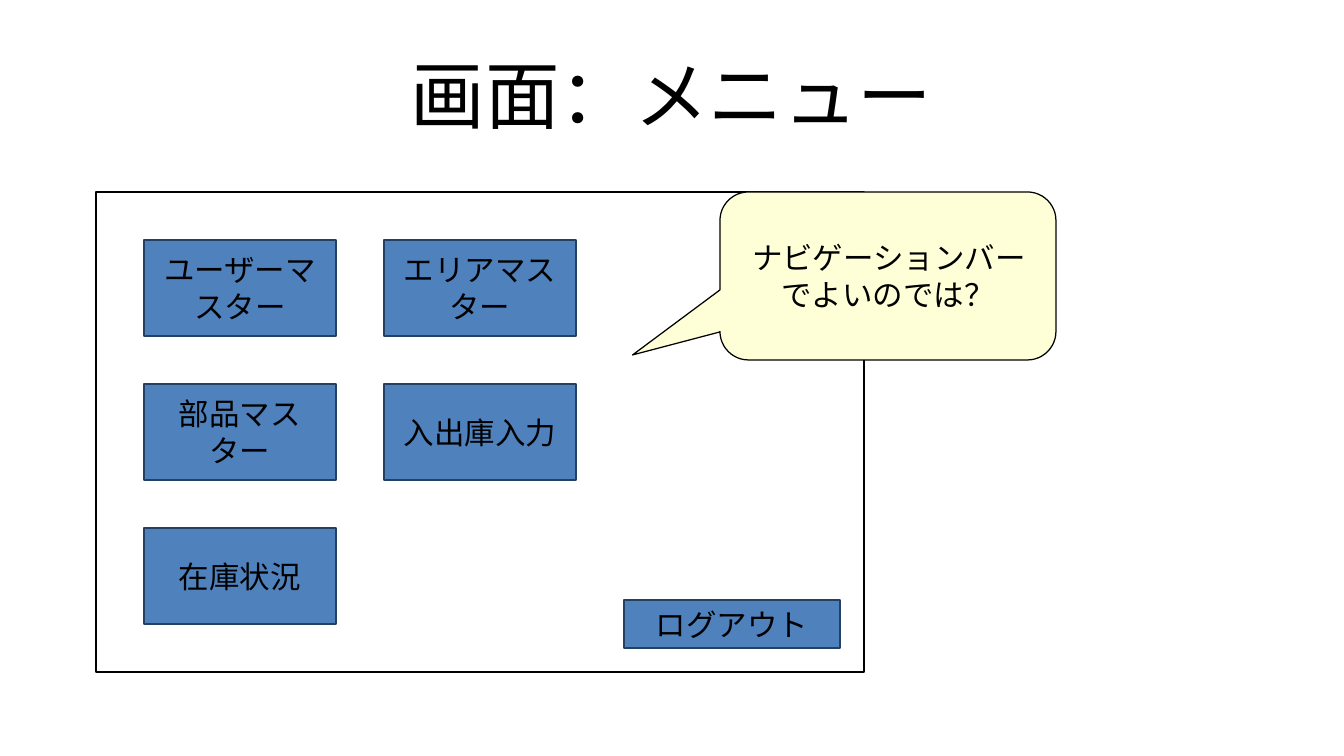
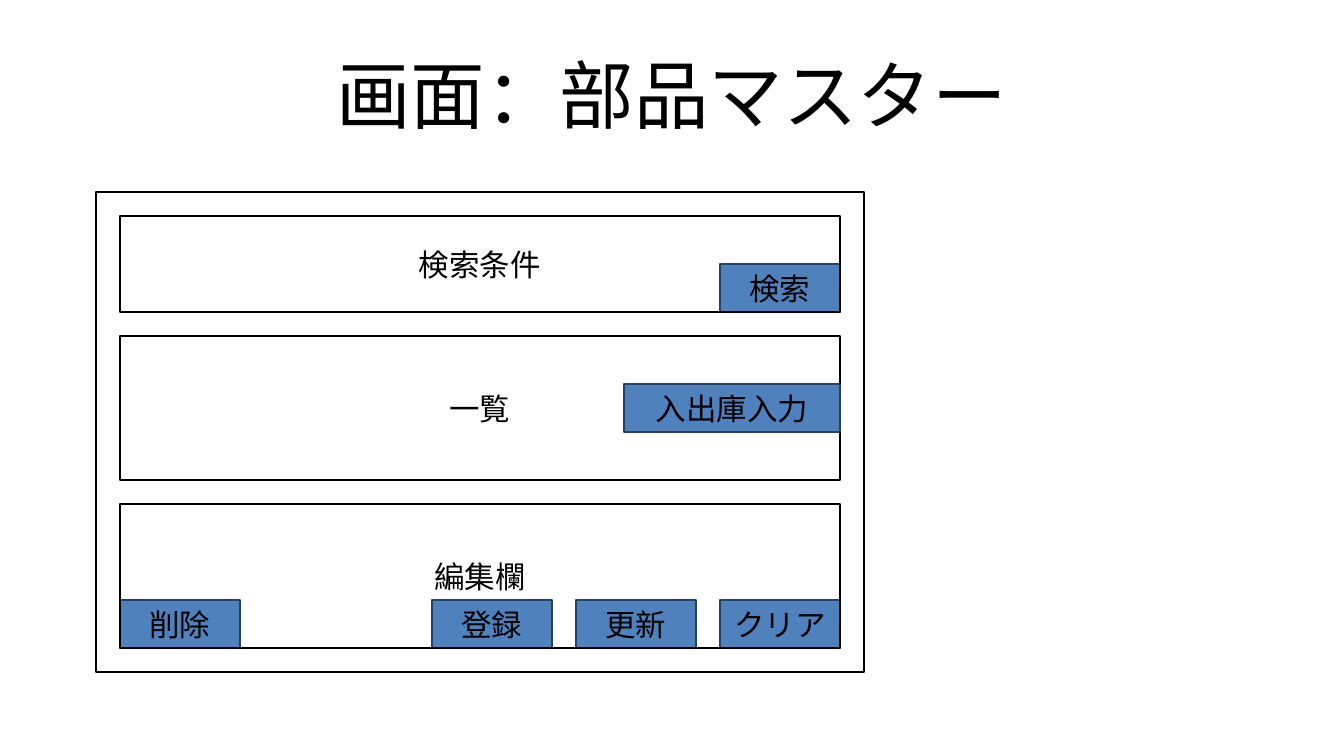
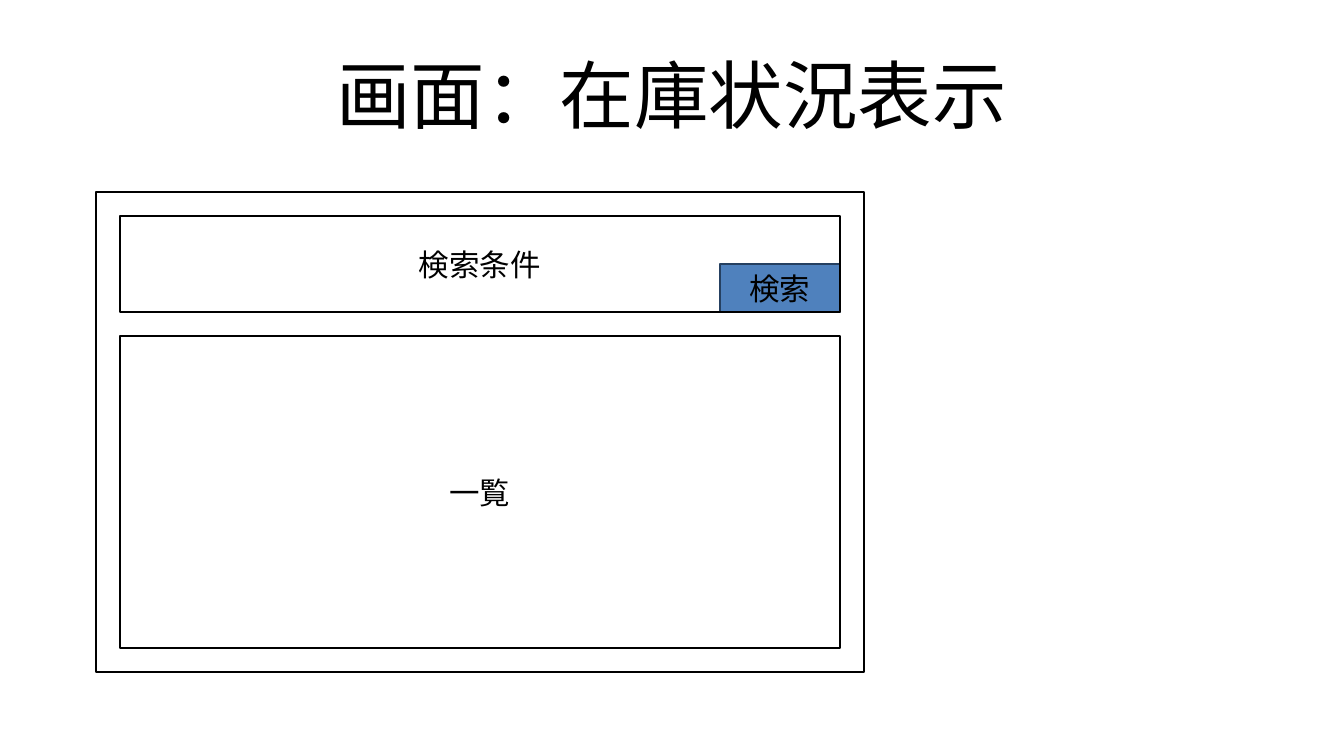
from pptx import Presentation
from pptx.dml.color import RGBColor
from pptx.enum.shapes import MSO_SHAPE
from pptx.enum.text import MSO_ANCHOR, PP_ALIGN
from pptx.util import Cm, Pt

RECT = MSO_SHAPE.RECTANGLE
CALLOUT = MSO_SHAPE.ROUNDED_RECTANGULAR_CALLOUT
MIDDLE = MSO_ANCHOR.MIDDLE
CENTER = PP_ALIGN.CENTER

# Shared style
FONT = "Arial"
TITLE_SIZE, BODY_SIZE = 44, 18
BLACK, BLUE, NAVY, CREAM = "000000", "4F81BD", "254061", "FFFFD7"


def rgb(color):
    return RGBColor.from_string(color)


def grid(n):
    """Length of n grid cells, half a centimetre each."""
    return Cm(n * 0.5)


class Deck:
    """Wireframe slides; places are (column, row, columns, rows)."""

    def __init__(self):
        self.prs = Presentation()
        self.prs.slide_width, self.prs.slide_height = Cm(28), Cm(15.75)
        self.slide = None

    def set_text(self, sp, text, size):
        tf = sp.text_frame
        tf.word_wrap = True
        tf.vertical_anchor = MIDDLE
        p = tf.paragraphs[0]
        p.text = text
        p.alignment = CENTER
        p.font.name, p.font.size = FONT, Pt(size)
        p.font.color.rgb = rgb(BLACK)
        return tf

    def screen(self, title):
        """Start a slide with its title and the outline of the screen."""
        self.slide = self.prs.slides.add_slide(self.prs.slide_layouts[6])
        w, h = self.prs.slide_width, self.prs.slide_height
        sp = self.slide.shapes.add_textbox(
            int(w * 0.05), int(h * 0.04), int(w * 0.9), int(h * 0.167))
        tf = self.set_text(sp, title, TITLE_SIZE)
        tf.margin_left = tf.margin_right = tf.margin_top = tf.margin_bottom = 0
        self.box((4, 8, 32, 20))

    def box(self, place, text="", kind=RECT, fill=None, line=BLACK):
        sp = self.slide.shapes.add_shape(kind, *map(grid, place))
        sp.shadow.inherit = False
        if fill:
            sp.fill.solid()
            sp.fill.fore_color.rgb = rgb(fill)
        else:
            sp.fill.background()
        sp.line.color.rgb = rgb(line)
        sp.line.width = Pt(0)
        if text:
            self.set_text(sp, text, BODY_SIZE)
        return sp

    def button(self, text, col, row, cols=5, rows=2):
        self.box((col, row, cols, rows), text, fill=BLUE, line=NAVY)

    def panel(self, text, row, rows):
        self.box((5, row, 30, rows), text)

    def callout(self, text, place, adjustments):
        sp = self.box(place, text, CALLOUT, CREAM)
        for i, value in enumerate(adjustments):
            sp.adjustments[i] = value


def menu(deck):
    deck.screen("画面：メニュー")
    items = ["ユーザーマスター", "エリアマスター", "部品マスター",
             "入出庫入力", "在庫状況"]
    for i, item in enumerate(items):
        row, col = divmod(i, 2)
        deck.button(item, 6 + 10 * col, 10 + 6 * row, 8, 4)
    deck.button("ログアウト", 26, 25, 9)
    deck.callout("ナビゲーションバーでよいのでは？", (30, 8, 14, 7),
                 (-0.76, 0.47, 0.17))


def search(deck):
    deck.button("検索", 30, 11)
    deck.panel("検索条件", 9, 4)


def parts_master(deck):
    deck.screen("画面：部品マスター")
    # Edit buttons lie behind the panels
    for text, col in [("登録", 18), ("更新", 24), ("削除", 5), ("クリア", 30)]:
        deck.button(text, col, 25)
    search(deck)
    deck.panel("一覧", 14, 6)
    deck.panel("編集欄", 21, 6)
    deck.button("入出庫入力", 26, 16, 9)


def stock_status(deck):
    deck.screen("画面：在庫状況表示")
    search(deck)
    deck.panel("一覧", 14, 13)


def main():
    deck = Deck()
    for build in (menu, parts_master, stock_status):
        build(deck)
    deck.prs.save("out.pptx")


if __name__ == "__main__":
    main()
